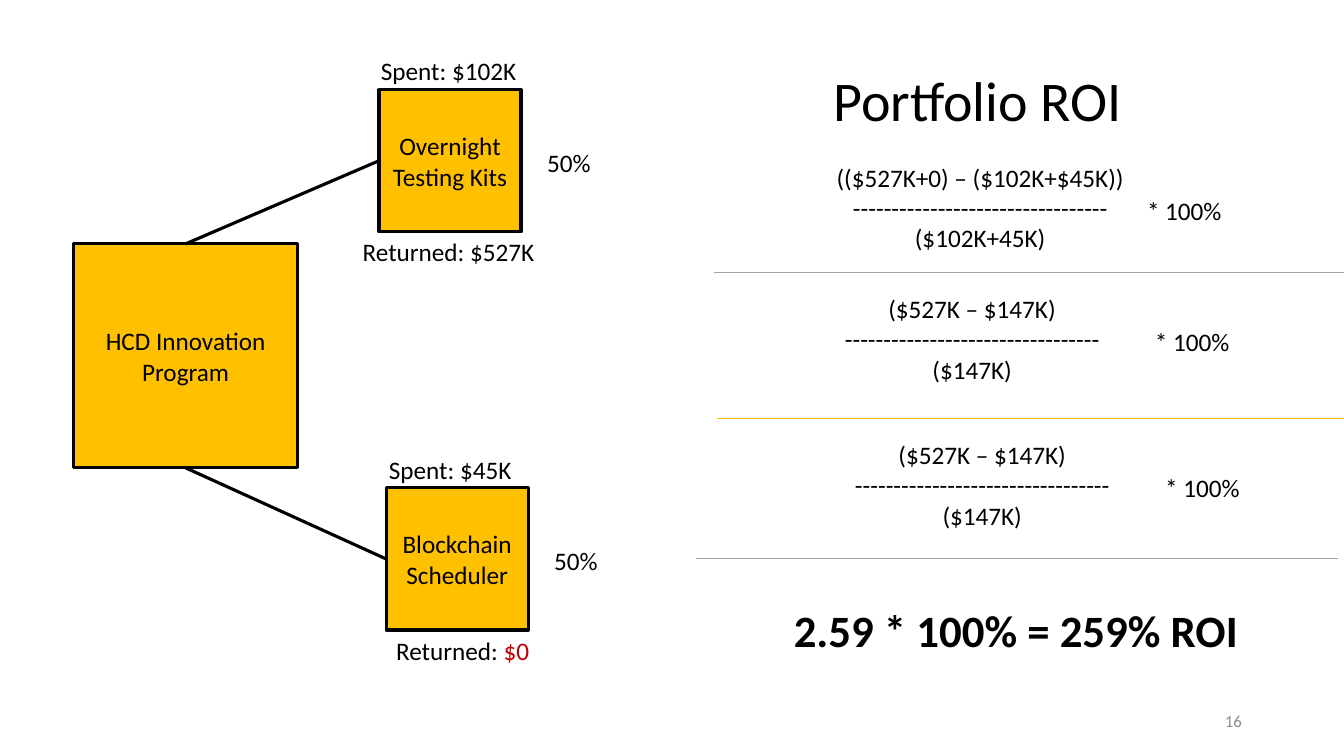
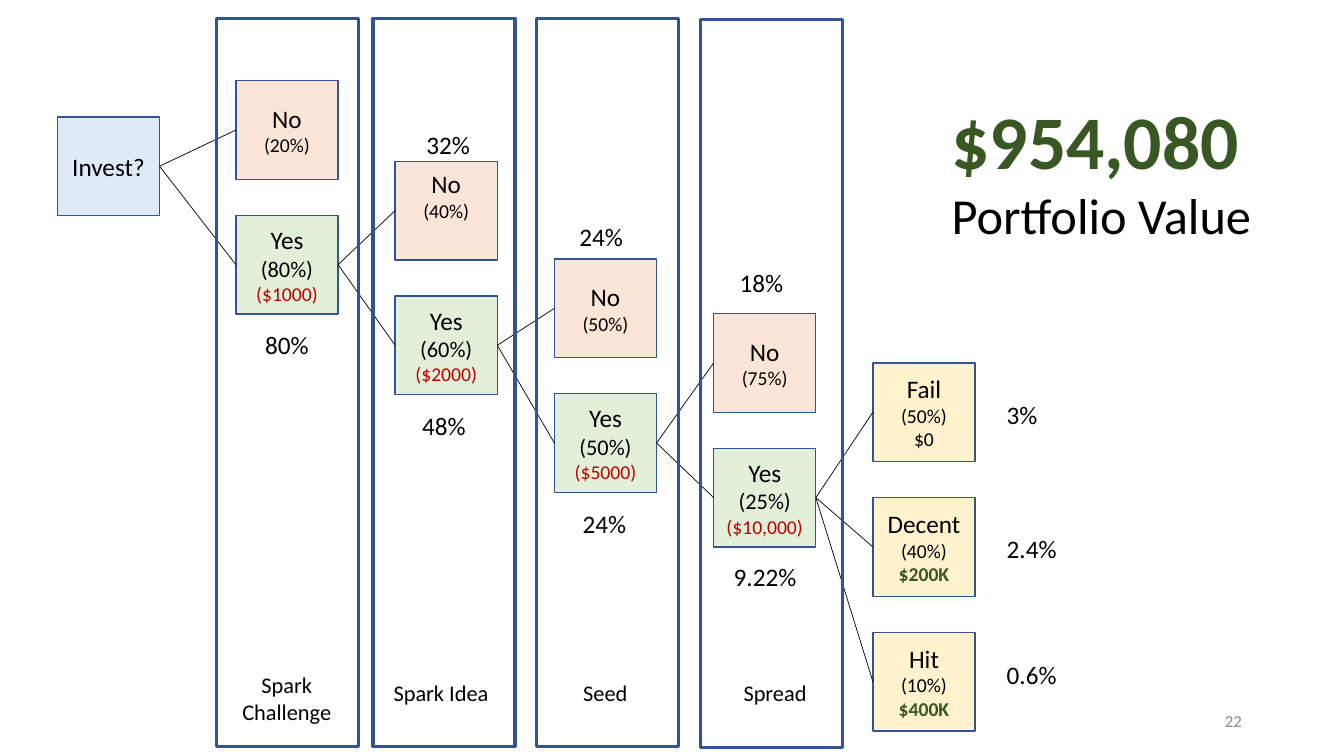
"""Build the portfolio ROI and portfolio value slides."""
from pptx import Presentation
from pptx.dml.color import RGBColor
from pptx.enum import shapes, text
from pptx.oxml.ns import qn
from pptx.util import Pt
from lxml import etree

BLACK = RGBColor(0x00, 0x00, 0x00)
GRAY = RGBColor(0x8C, 0x8C, 0x8C)
SILVER = RGBColor(0xA5, 0xA5, 0xA5)
GOLD = RGBColor(0xFF, 0xC0, 0x00)
RED = RGBColor(0xC0, 0x00, 0x00)
GREEN = RGBColor(0x38, 0x57, 0x23)
NAVY = RGBColor(0x32, 0x54, 0x91)
PALE_BLUE = RGBColor(0xDE, 0xEB, 0xF7)
PALE_ORANGE = RGBColor(0xFB, 0xE5, 0xD6)
PALE_GREEN = RGBColor(0xE2, 0xF0, 0xD9)
PALE_YELLOW = RGBColor(0xFF, 0xF2, 0xCC)
LEFT, CENTER, RIGHT = text.PP_ALIGN.LEFT, text.PP_ALIGN.CENTER, text.PP_ALIGN.RIGHT
FONT = "Calibri"


def add_box(slide, bounds, lines, align=LEFT, border=None, weight=1, fill=None, title=False):
    """Place a title, a text box or a bordered box; a line is (text, size, color, bold)."""
    left, top, width, height = [Pt(value) for value in bounds]
    if title:
        shape = slide.shapes.title
        shape.left, shape.top, shape.width, shape.height = left, top, width, height
    elif border is None:
        shape = slide.shapes.add_textbox(left, top, width, height)
    else:
        shape = slide.shapes.add_shape(shapes.MSO_SHAPE.RECTANGLE, left, top, width, height)
        shape.shadow.inherit = False
        shape.line.color.rgb = border
        shape.line.width = Pt(weight)
        if fill is None:
            shape.fill.background()
        else:
            shape.fill.solid()
            shape.fill.fore_color.rgb = fill
    frame = shape.text_frame
    frame.auto_size = text.MSO_AUTO_SIZE.NONE
    frame.word_wrap = border is not None
    frame.vertical_anchor = text.MSO_ANCHOR.TOP if border is None else text.MSO_ANCHOR.MIDDLE
    frame.text = "\n".join(line[0] for line in lines)
    for paragraph, (_, size, color, bold) in zip(frame.paragraphs, lines):
        paragraph.alignment = align
        for run in paragraph.runs:
            run.font.name = FONT
            run.font.size = Pt(size)
            run.font.color.rgb = color
            run.font.bold = bold
    return shape


def add_line(slide, color, weight, start=(0, 0), end=(0, 0)):
    """Draw a straight line without a shadow."""
    connector = slide.shapes.add_connector(
        shapes.MSO_CONNECTOR.STRAIGHT, *[Pt(value) for value in (*start, *end)])
    connector.line.color.rgb = color
    connector.line.width = Pt(weight)
    etree.SubElement(connector._element.spPr, qn("a:effectLst"))
    return connector


presentation = Presentation()
presentation.slide_width, presentation.slide_height = Pt(960), Pt(540)
title_only = presentation.slide_layouts[5]
roi_slide = presentation.slides.add_slide(title_only)
value_slide = presentation.slides.add_slide(title_only)

titles = [
    (roi_slide, (588.2, 43.2, 224, 56), [("Portfolio ROI", 40, BLACK, False)]),
    (value_slide, (672.5, 63.4, 231.8, 116.6),
     [("$954,080", 54, GREEN, True), ("Portfolio Value", 36, BLACK, False)]),
]
for slide, bounds, lines in titles:
    add_box(slide, bounds, lines, title=True)

for slide, number in [(roi_slide, "16"), (value_slide, "22")]:
    page = add_box(slide, (678.2, 500.4, 216, 28.8), [(number, 12, GRAY, False)], RIGHT)
    page.text_frame.word_wrap = True
    page.text_frame.vertical_anchor = text.MSO_ANCHOR.MIDDLE

formulas = [
    (588.2, 112.3, 224, "(($527K+0) – ($102K+$45K))", "($102K+45K)", 812.2),
    (595.4, 206, 198, "($527K – $147K)", "($147K)", 817.9),
    (602.6, 310.3, 198, "($527K – $147K)", "($147K)", 825.1),
]
for left, top, width, numerator, denominator, factor_left in formulas:
    fraction = [(line, 18, BLACK, False) for line in (numerator, "-" * 33, denominator)]
    add_box(roi_slide, (left, top, width, 72.7), fraction, CENTER)
    add_box(roi_slide, (factor_left, top + 23.6, 68.4, 28.8), [("* 100%", 18, BLACK, False)])

for left, top, color in [(509.8, 194.4, SILVER), (511.9, 298.8, GOLD), (497.5, 398.9, SILVER)]:
    add_line(roi_slide, color, 0.5, (left, top), (left + 458, top))

add_box(roi_slide, (558, 427, 335.5, 46), [("2.59 * 100% = 259% ROI", 32, BLACK, True)], CENTER)

program = add_box(roi_slide, (52.6, 174.2, 160, 160),
                  [("HCD Innovation Program", 18, BLACK, False)], CENTER, BLACK, 2.25, GOLD)
projects = [(270.7, 64.1, ["Overnight Testing Kits"], 0),
            (275.8, 348.5, ["Blockchain", "Scheduler"], 2)]
for left, top, name, program_side in projects:
    project = add_box(roi_slide, (left, top, 101.5, 101.5),
                      [(line, 18, BLACK, False) for line in name], CENTER, BLACK, 2.25, GOLD)
    branch = add_line(roi_slide, BLACK, 2.25)
    branch.begin_connect(program, program_side)
    branch.end_connect(project, 1)
    add_box(roi_slide, (left + 113, top + 37.4, 46, 28.8), [("50%", 18, BLACK, False)])

amounts = [("Spent: $102K", 265, 36, 112.3), ("Returned: $527K", 252, 165, 139),
           ("Spent: $45K", 270.7, 321, 102.2)]
for amount, left, top, width in amounts:
    add_box(roi_slide, (left, top, width, 28.8), [(amount, 18, BLACK, False)])
returned = add_box(roi_slide, (275.8, 450, 109.4, 28.8), [("Returned: ", 18, BLACK, False)])
loss = returned.text_frame.paragraphs[0].add_run()
loss.text = "$0"
loss.font.name, loss.font.size, loss.font.color.rgb = FONT, Pt(18), RED

NODE_WIDTH, NODE_HEIGHT = 73, 70.5
FIRST_STAGE, STAGE_STEP, ROW_STEP = 168.5, 113.75, 96.2
stages = [
    (57.6, "(20%)", "(80%)", "($1000)"),
    (115.2, "(40%)", "(60%)", "($2000)"),
    (185, "(50%)", "(50%)", "($5000)"),
    (224, "(75%)", "(25%)", "($10,000)"),
]
outcomes = [("Fail", "(50%)", "$0", BLACK, False), ("Decent", "(40%)", "$200K", GREEN, True),
            ("Hit", "(10%)", "$400K", GREEN, True)]
columns = []
for top, no_chance, yes_chance, cost in stages:
    no_lines = [("No", 18, BLACK, False), (no_chance, 14, BLACK, False)]
    yes_lines = [("Yes", 18, BLACK, False), (yes_chance, 16, BLACK, False),
                 (cost, 14, RED, False)]
    columns.append((top, [(no_lines, PALE_ORANGE), (yes_lines, PALE_GREEN)]))
columns.append((259.2, [
    ([(name, 18, BLACK, False), (chance, 14, BLACK, False), (payoff, 14, color, bold)], PALE_YELLOW)
    for name, chance, payoff, color, bold in outcomes]))

parent = add_box(value_slide, (41, 83.5, NODE_WIDTH, NODE_HEIGHT),
                 [("Invest?", 18, BLACK, False)], CENTER, NAVY, 1, PALE_BLUE)
for column, (top, nodes) in enumerate(columns):
    left = FIRST_STAGE + column * STAGE_STEP
    for row, (lines, fill) in enumerate(nodes):
        node = add_box(value_slide, (left, top + row * ROW_STEP, NODE_WIDTH, NODE_HEIGHT),
                       lines, CENTER, NAVY, 1, fill)
        if (column, row) == (1, 0):
            node.text_frame.margin_bottom = Pt(25.6)
        branch = add_line(value_slide, BLACK, 0.5)
        branch.begin_connect(parent, 3)
        branch.end_connect(node, 1)
    parent = node

bands = [
    (154.8, 13, ["Spark", "Challenge"], 165.6, 476, 78.5),
    (266.4, 13, ["Spark Idea"], 273.6, 481.7, 82.8),
    (383, 13, ["Seed"], 409, 481.7, 46.8),
    (500.4, 13.7, ["Spread"], 523.4, 481.7, 60.5),
]
for left, top, name, name_left, name_top, name_width in bands:
    add_box(value_slide, (left, top, 101.5, 520), [], CENTER, NAVY, 2.25)
    add_box(value_slide, (name_left, name_top, name_width, 26.6),
            [(line, 16, BLACK, False) for line in name], CENTER)

chances = [
    ("32%", 297.4, 88.6, 46), ("48%", 294.5, 289.4, 46), ("80%", 182.2, 231.8, 46),
    ("24%", 406.8, 154.8, 46), ("24%", 409, 359.3, 46), ("18%", 521.3, 187.2, 46),
    ("9.22%", 517, 397.4, 59.8), ("3%", 712, 281.5, 36.7), ("2.4%", 712, 377.3, 50.4),
    ("0.6%", 712, 467.3, 50.4),
]
for chance, left, top, width in chances:
    add_box(value_slide, (left, top, width, 28.8), [(chance, 18, BLACK, False)])

presentation.save("out.pptx")
